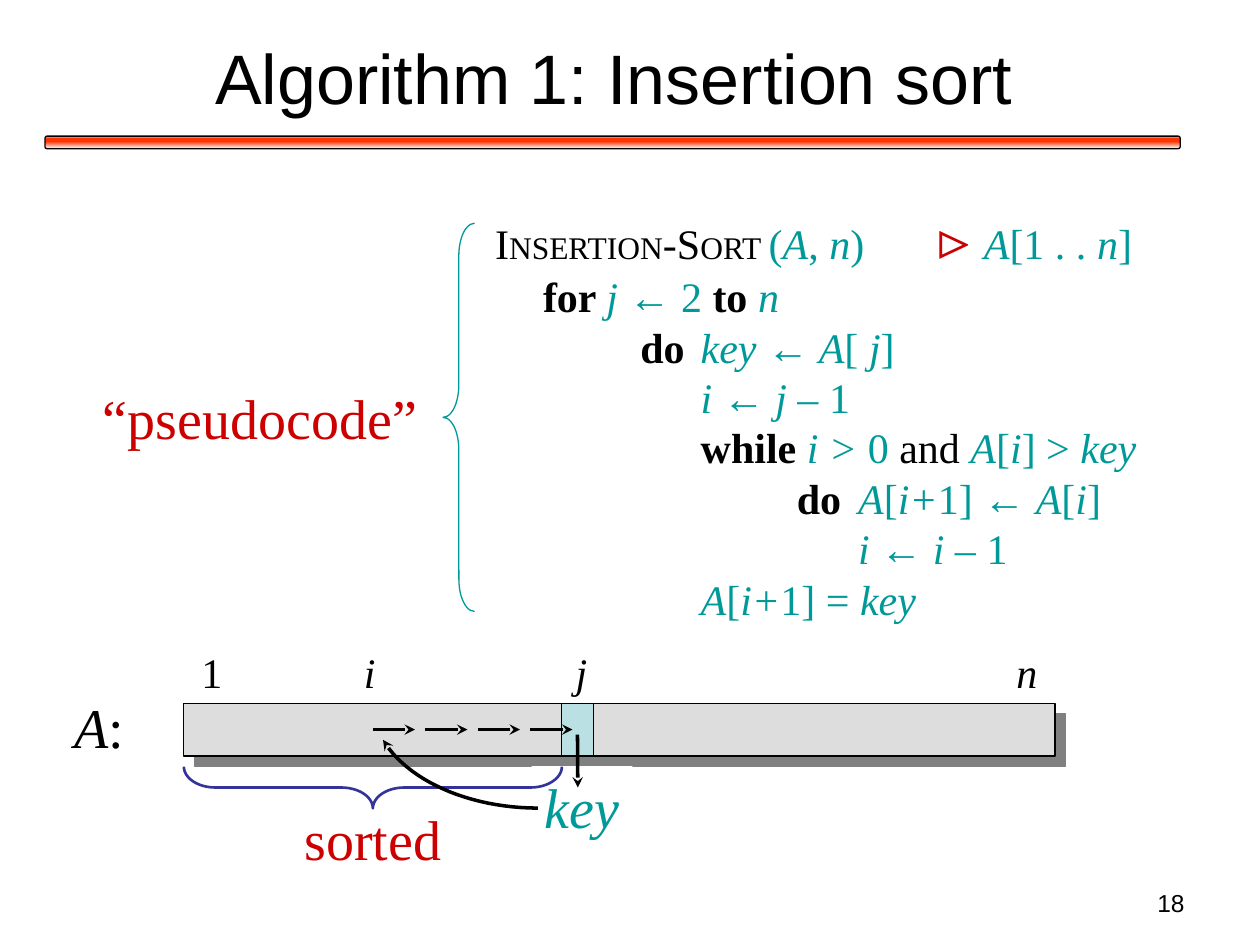
from pptx import Presentation
from pptx.dml.color import RGBColor
from pptx.enum.shapes import MSO_CONNECTOR, MSO_SHAPE
from pptx.enum.text import MSO_ANCHOR, PP_ALIGN
from pptx.oxml import parse_xml
from pptx.oxml.ns import nsdecls
from pptx.util import Pt
from lxml.etree import SubElement

SERIF = "Times New Roman"
BLACK, TEAL, RED = "000000", "009999", "CC0000"
STYLES = {
    "plain": (BLACK, False, False),
    "bold": (BLACK, True, False),
    "math": (TEAL, False, False),
    "name": (TEAL, False, True),
    "mark": (RED, False, False),
}


def color(value):
    return RGBColor.from_string(value)


def add_label(text, left, top, width, height, size, ink=BLACK, font=SERIF,
              align=PP_ALIGN.LEFT, italic=False, wrap=False):
    box = page.shapes.add_textbox(Pt(left), Pt(top), Pt(width), Pt(height))
    box.text_frame.word_wrap = wrap
    para = box.text_frame.paragraphs[0]
    para.alignment = align
    para.font.name = font
    para.font.size = Pt(size)
    para.font.italic = italic
    para.font.color.rgb = color(ink)
    para.add_run().text = text
    return box


deck = Presentation()
deck.slide_width, deck.slide_height = Pt(720), Pt(540)
page = deck.slides.add_slide(deck.slide_layouts[6])

key = add_label("key", 303.8, 437.8, 57.6, 45.4, 32, TEAL, align=PP_ALIGN.CENTER, italic=True)
key.fill.solid()
key.fill.fore_color.rgb = color("FFFFFF")

shapes = {}
for name, kind, left, top, width, height, adjust, fill, line, weight in [
    ("rule", MSO_SHAPE.ROUNDED_RECTANGLE, 25.7, 77.8, 648.7, 7.2, 0.167, None, BLACK, 0.75),
    ("code brace", MSO_SHAPE.LEFT_BRACE, 253.2, 127.6, 18, 221.8, 1.028, None, TEAL, 0.75),
    ("array", MSO_SHAPE.RECTANGLE, 105, 401.8, 498, 30.2, None, "DDDDDD", BLACK, 0.75),
    ("key cell", MSO_SHAPE.RECTANGLE, 321, 401.8, 18, 30.2, None, "BBE0E3", BLACK, 0.75),
    ("sorted brace", MSO_SHAPE.LEFT_BRACE, 201.2, 342, 23.8, 216, 0.758, None, "333399", 1.5),
]:
    shape = page.shapes.add_shape(kind, Pt(left), Pt(top), Pt(width), Pt(height))
    shape.shadow.inherit = False
    if adjust is not None:
        shape.adjustments[0] = adjust
    if fill:
        shape.fill.solid()
        shape.fill.fore_color.rgb = color(fill)
    else:
        shape.fill.background()
    shape.line.color.rgb = color(line)
    shape.line.width = Pt(weight)
    shapes[name] = shape
shapes["sorted brace"].rotation = 270
shapes["array"]._element.addnext(key._element)

stops = "".join(
    f'<a:gs pos="{place}000"><a:srgbClr val="{value}"/></a:gs>'
    for place, value in [(0, "FFFFFF"), (16, "FF3300"), (42, "FF3300"), (100, "FFFFFF")])
gradient = parse_xml(
    f'<a:gradFill {nsdecls("a")} rotWithShape="1"><a:gsLst>{stops}</a:gsLst>'
    '<a:lin ang="5400000" scaled="1"/></a:gradFill>')
rule_properties = shapes["rule"]._element.spPr
rule_properties.replace(rule_properties.find("{*}noFill"), gradient)

shapes["array"]._element.spPr.find("{*}effectLst").append(parse_xml(
    f'<a:outerShdw {nsdecls("a")} dist="107950" dir="2700000" algn="ctr" rotWithShape="0">'
    '<a:srgbClr val="808080"/></a:outerShdw>'))

title = add_label("Algorithm 1: Insertion sort", 26.6, 7.9, 648, 71.3, 40,
                  font="Arial", align=PP_ALIGN.CENTER, wrap=True)
title.text_frame.vertical_anchor = MSO_ANCHOR.MIDDLE
add_label("18", 516.2, 504, 167.8, 25.2, 14, font="Arial", align=PP_ALIGN.RIGHT, wrap=True)

code_lines = [
    [("I", "plain"), ("NSERTION", "plain", 18), ("-S", "plain"), ("ORT ", "plain", 18),
     ("(", "math"), ("A", "name"), (", ", "math"), ("n", "name"), (")\t", "math"),
     ("⊳ ", "mark", 32), ("A", "name"), ("[1 . . ", "math"), ("n", "name"), ("]", "math")],
    [("\tfor ", "bold"), ("j ", "name"), ("← 2 ", "math"), ("to ", "bold"), ("n", "name")],
    [("\t\tdo\t", "bold"), ("key ← A", "name"), ("[ ", "math"), ("j", "name"), ("]", "math")],
    [("\t\t\ti ← j – ", "name"), ("1", "math")],
    [("\t\t\twhile ", "bold"), ("i > ", "name"), ("0", "math"), (" and ", "plain"),
     ("A", "name"), ("[", "math"), ("i", "name"), ("] > ", "math"), ("key", "name")],
    [("\t\t\t\tdo\t", "bold"), ("A", "name"), ("[", "math"), ("i+", "name"),
     ("1] ← ", "math"), ("A", "name"), ("[", "math"), ("i", "name"), ("]", "math")],
    [("\t\t\t\t\ti ← i – ", "name"), ("1", "math")],
    [("\t\t\tA", "name"), ("[", "math"), ("i+", "name"), ("1] = ", "math"), ("key", "name")],
]
code = page.shapes.add_textbox(Pt(275.8), Pt(112.7), Pt(444), Pt(247)).text_frame
code.word_wrap = True
for number, code_line in enumerate(code_lines):
    para = code.add_paragraph() if number else code.paragraphs[0]
    tabs = parse_xml(f'<a:tabLst {nsdecls("a")}/>')
    for stop in (27.4, 83, 117.5, 172.5, 207.5, 252.6):
        SubElement(tabs, tabs.tag.replace("tabLst", "tab"), pos=str(int(Pt(stop))), algn="l")
    para._p.get_or_add_pPr().append(tabs)
    if number:
        para.line_spacing = Pt(28.8)
    para.font.name = SERIF
    for text, style, *size in code_line:
        ink, bold, italic = STYLES[style]
        span = para.add_run()
        span.text = text
        span.font.size = Pt(size[0] if size else 24)
        span.font.bold, span.font.italic = bold, italic
        span.font.color.rgb = color(ink)

add_label("“pseudocode”", 51.8, 215.6, 194.4, 45.4, 32, RED)
for text, left, width in [("1", 108, 26.6), ("i", 200.9, 20.9),
                          ("j", 321.8, 20.9), ("n", 573.8, 26.6)]:
    add_label(text, left, 365.8, width, 36, 24, italic=text != "1")

arrows = []
segments = [(213.1 + 30 * step, 416.9, 237.1 + 30 * step, 416.9) for step in range(4)]
segments.append((330, 419.8, 330.2, 450))
for segment in segments:
    arrow = page.shapes.add_connector(MSO_CONNECTOR.STRAIGHT, *map(Pt, segment))
    SubElement(arrow._element.spPr, "{http://schemas.openxmlformats.org/drawingml/2006/main}effectLst")
    arrows.append(arrow)

add_label("sorted", 166.6, 456.2, 92.9, 45.4, 32, RED, align=PP_ALIGN.CENTER)
array_name = add_label("A", 35.3, 392.4, 43.2, 45.4, 32, align=PP_ALIGN.CENTER)
array_para = array_name.text_frame.paragraphs[0]
array_para.runs[0].font.italic = True
array_para.add_run().text = ":"

controls = [(307.4, 461.8), (267.8, 461.8), (232.6, 445.9), (218.9, 422.8)]
curve = []
for step in range(25):
    t = step / 24
    weights = ((1 - t) ** 3, 3 * t * (1 - t) ** 2, 3 * t ** 2 * (1 - t), t ** 3)
    curve.append(tuple(Pt(sum(weight * point[axis] for weight, point in zip(weights, controls)))
                       for axis in (0, 1)))
builder = page.shapes.build_freeform(*curve[0])
builder.add_line_segments(curve[1:], close=False)
return_arrow = builder.convert_to_shape()
return_arrow.shadow.inherit = False
return_arrow.fill.background()
arrows.append(return_arrow)

for arrow in arrows:
    arrow.line.color.rgb = color(BLACK)
    arrow.line.width = Pt(2)
    arrow.line._get_or_add_ln().append(parse_xml(f'<a:tailEnd {nsdecls("a")} type="stealth"/>'))

deck.save("out.pptx")
